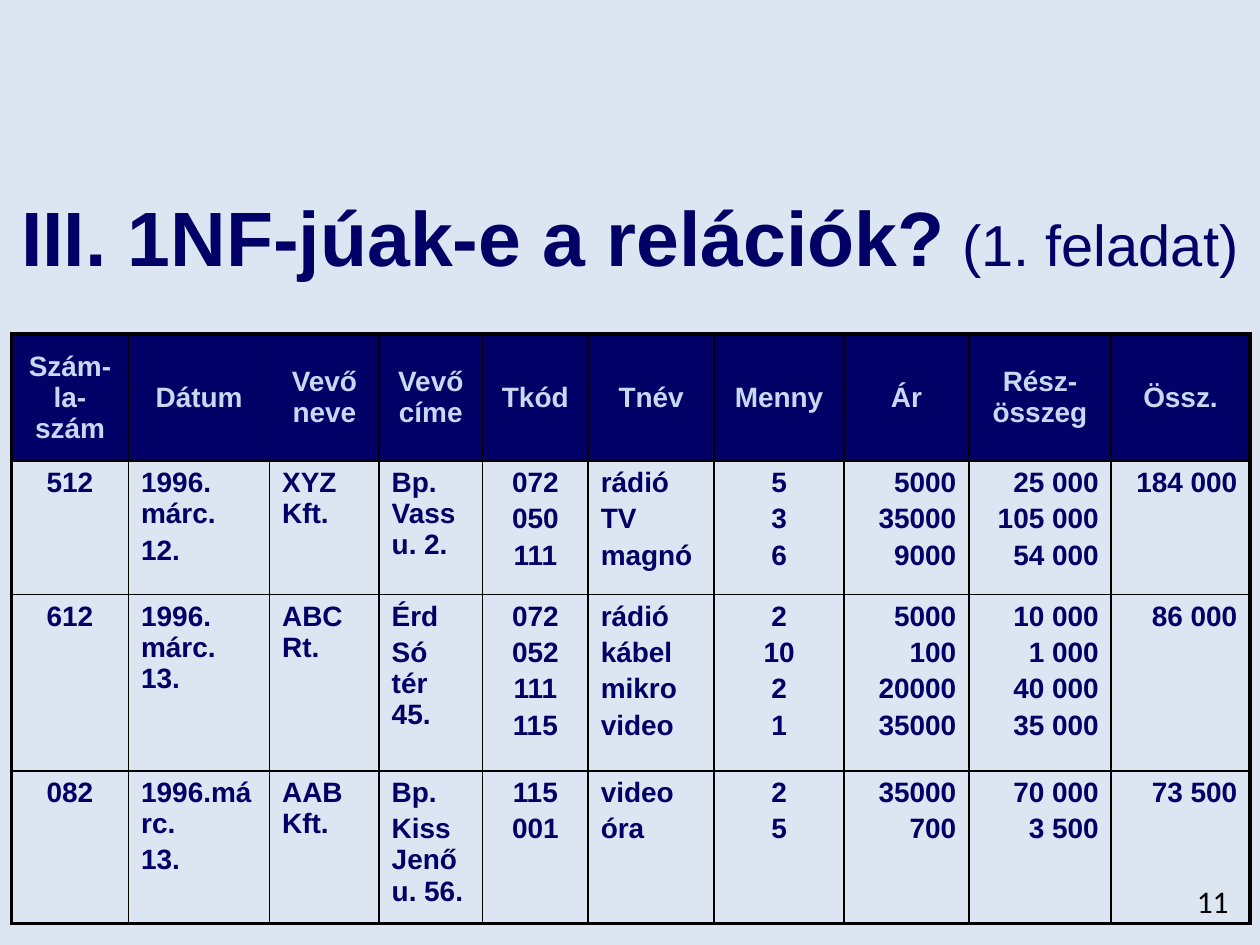
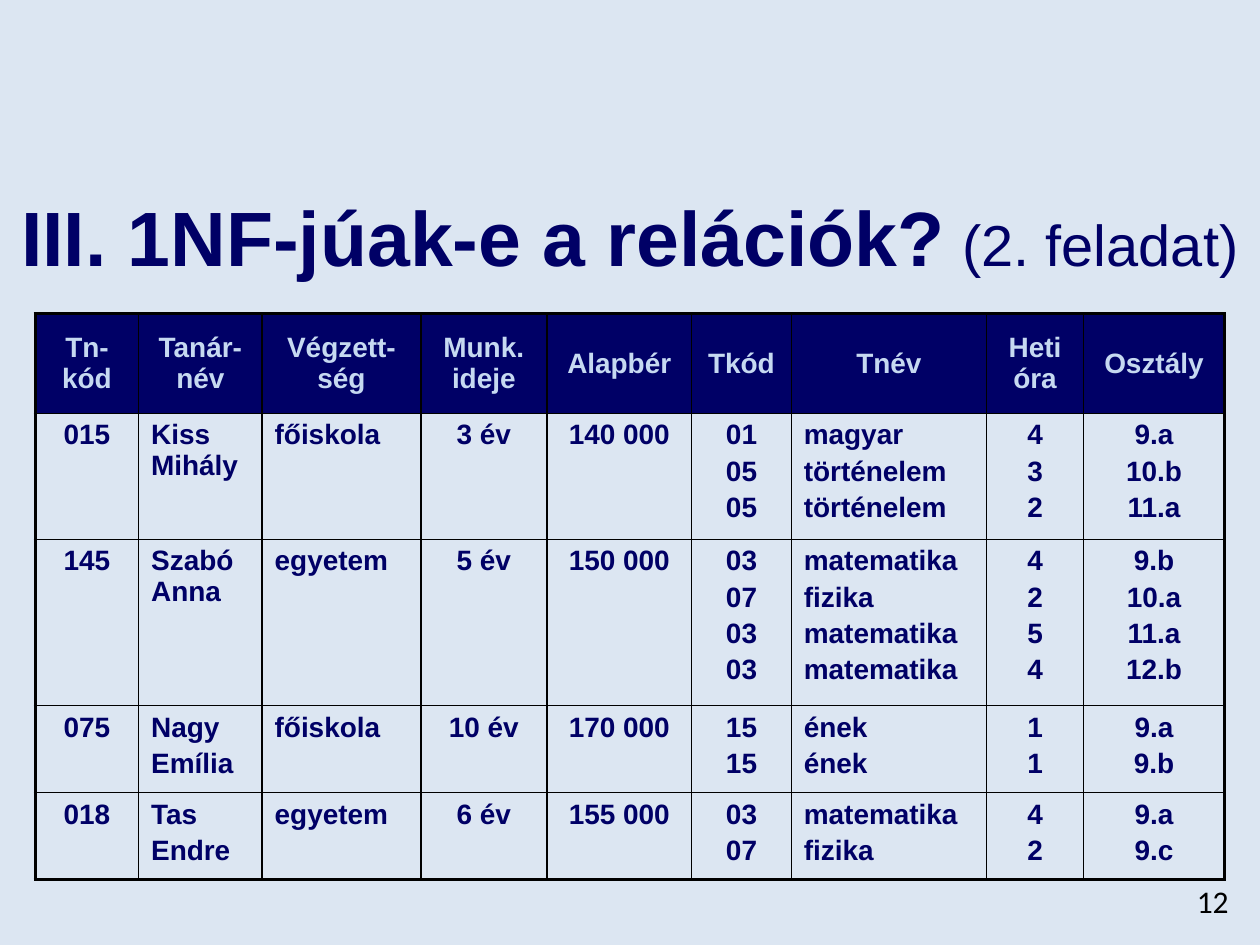
from lxml import etree
from pptx import Presentation
from pptx.dml.color import RGBColor
from pptx.enum.text import MSO_ANCHOR, PP_ALIGN
from pptx.oxml.ns import qn
from pptx.util import Pt

NAVY = RGBColor(0x00, 0x00, 0x66)
PALE = RGBColor(0xDC, 0xE6, 0xF2)
SKY = RGBColor(0xC6, 0xD9, 0xF1)
BLACK = RGBColor(0, 0, 0)
MIDDLE, TOP = MSO_ANCHOR.MIDDLE, MSO_ANCHOR.TOP
LEFT, CENTER, RIGHT = PP_ALIGN.LEFT, PP_ALIGN.CENTER, PP_ALIGN.RIGHT
ALIGN = {"L": LEFT, "C": CENTER, "R": RIGHT}
THIN, THICK = Pt(1), Pt(2.25)

# In the rows, | parts the cells and / parts the lines of a cell
TASKS = [
    {
        "name": " (1. feladat)", "page": "11",
        "left": 6.5, "top": 190.8, "aligns": "CLLLCLCRRR",
        "widths": [67, 80.6, 62.6, 59, 60.5, 72, 74.2, 71.3, 81.4, 79.2],
        "heights": [72.7, 76.3, 100.8, 79.2],
        "rows": [
            "Szám-la-szám|Dátum|Vevő neve|Vevő címe|Tkód|Tnév|Menny|Ár|Rész-összeg|Össz.",
            "512|1996. márc./12.|XYZ Kft.|Bp. Vass u. 2.|072/050/111|rádió/TV/magnó"
            "|5/3/6|5000/35000/9000|25 000/105 000/54 000|184 000",
            "612|1996. márc. 13.|ABC Rt.|Érd/Só tér 45.|072/052/111/115"
            "|rádió/kábel/mikro/video|2/10/2/1|5000/100/20000/35000"
            "|10 000/1 000/40 000/35 000|86 000",
            "082|1996.márc./13.|AAB Kft.|Bp./Kiss Jenő u. 56.|115/001|video/óra"
            "|2/5|35000/700|70 000/3 500|73 500",
        ],
    },
    {
        "name": " (2. feladat)", "page": "12",
        "left": 20.2, "top": 179.3, "aligns": "CLLCCCLCC",
        "widths": [59, 70.6, 90.7, 72, 82.8, 56.9, 111.6, 55.4, 80.6],
        "heights": [56.9, 72, 95, 49.7, 49.7],
        "rows": [
            "Tn-kód|Tanár-név|Végzett-ség|Munk. ideje|Alapbér|Tkód|Tnév|Heti óra|Osztály",
            "015|Kiss Mihály|főiskola|3 év|140 000|01/05/05"
            "|magyar/történelem/történelem|4/3/2|9.a/10.b/11.a",
            "145|Szabó Anna|egyetem|5 év|150 000|03/07/03/03"
            "|matematika/fizika/matematika/matematika|4/2/5/4|9.b/10.a/11.a/12.b",
            "075|Nagy/Emília|főiskola|10 év|170 000|15/15|ének/ének|1/1|9.a/9.b",
            "018|Tas/Endre|egyetem|6 év|155 000|03/07|matematika/fizika|4/2|9.a/9.c",
        ],
    },
]


def write(frame, text, font="Arial", size=16, color=NAVY, bold=True,
          align=LEFT, gap=0, join=False):
    """Fill a frame line by line, or join a run to its last line."""
    for i, line in enumerate(text.split("/")):
        para = frame.paragraphs[-1] if join or i == 0 else frame.add_paragraph()
        para.alignment = align
        para.space_before = Pt(gap)
        run = para.add_run()
        run.text = line
        run.font.name, run.font.size, run.font.bold = font, Pt(size), bold
        run.font.color.rgb = color


def edge(cell, sides):
    """Draw the cell borders; sides maps L, R, T, B to line widths."""
    props = cell._tc.get_or_add_tcPr()
    for i, (side, width) in enumerate(sides.items()):
        line = etree.Element(qn("a:ln" + side), w=str(int(width)))
        fill = etree.SubElement(line, qn("a:solidFill"))
        etree.SubElement(fill, qn("a:srgbClr"), val=str(BLACK))
        props.insert(i, line)


deck = Presentation()
deck.slide_width, deck.slide_height = Pt(720), Pt(540)

for task in TASKS:
    slide = deck.slides.add_slide(deck.slide_layouts[6])
    slide.background.fill.solid()
    slide.background.fill.fore_color.rgb = PALE

    # Title
    frame = slide.shapes.add_textbox(Pt(0), Pt(98), Pt(720), Pt(73.4)).text_frame
    frame.word_wrap = True
    frame.vertical_anchor = MIDDLE
    write(frame, "III. 1NF-júak-e a relációk?", size=44, align=CENTER)
    write(frame, task["name"], size=33, bold=False, align=CENTER, join=True)

    # Page number
    frame = slide.shapes.add_textbox(Pt(516.2), Pt(500.4), Pt(193), Pt(28.8)).text_frame
    frame.word_wrap = True
    frame.vertical_anchor = MIDDLE
    write(frame, task["page"], font="Calibri", size=18, color=BLACK,
          bold=False, align=RIGHT)

    # Table grid
    widths, heights = task["widths"], task["heights"]
    table = slide.shapes.add_table(
        len(heights), len(widths), Pt(task["left"]), Pt(task["top"]),
        Pt(sum(widths)), Pt(sum(heights))).table
    table.first_row = table.horz_banding = False
    for col, width in zip(table.columns, widths):
        col.width = Pt(width)
    for row, height in zip(table.rows, heights):
        row.height = Pt(height)

    # Table cells
    for r, row in enumerate(task["rows"]):
        for c, text in enumerate(row.split("|")):
            cell = table.cell(r, c)
            head = r == 0
            if head:
                cell.fill.solid()
                cell.fill.fore_color.rgb = NAVY
            else:
                cell.fill.background()
            cell.vertical_anchor = MIDDLE if head else TOP
            write(cell.text_frame, text, color=SKY if head else NAVY, gap=3,
                  align=CENTER if head else ALIGN[task["aligns"][c]])
            edge(cell, {
                "L": THICK if c == 0 else THIN,
                "R": THICK if c == len(widths) - 1 else THIN,
                "T": THICK if head else THIN,
                "B": THICK if r == len(heights) - 1 else THIN,
            })

deck.save("out.pptx")
